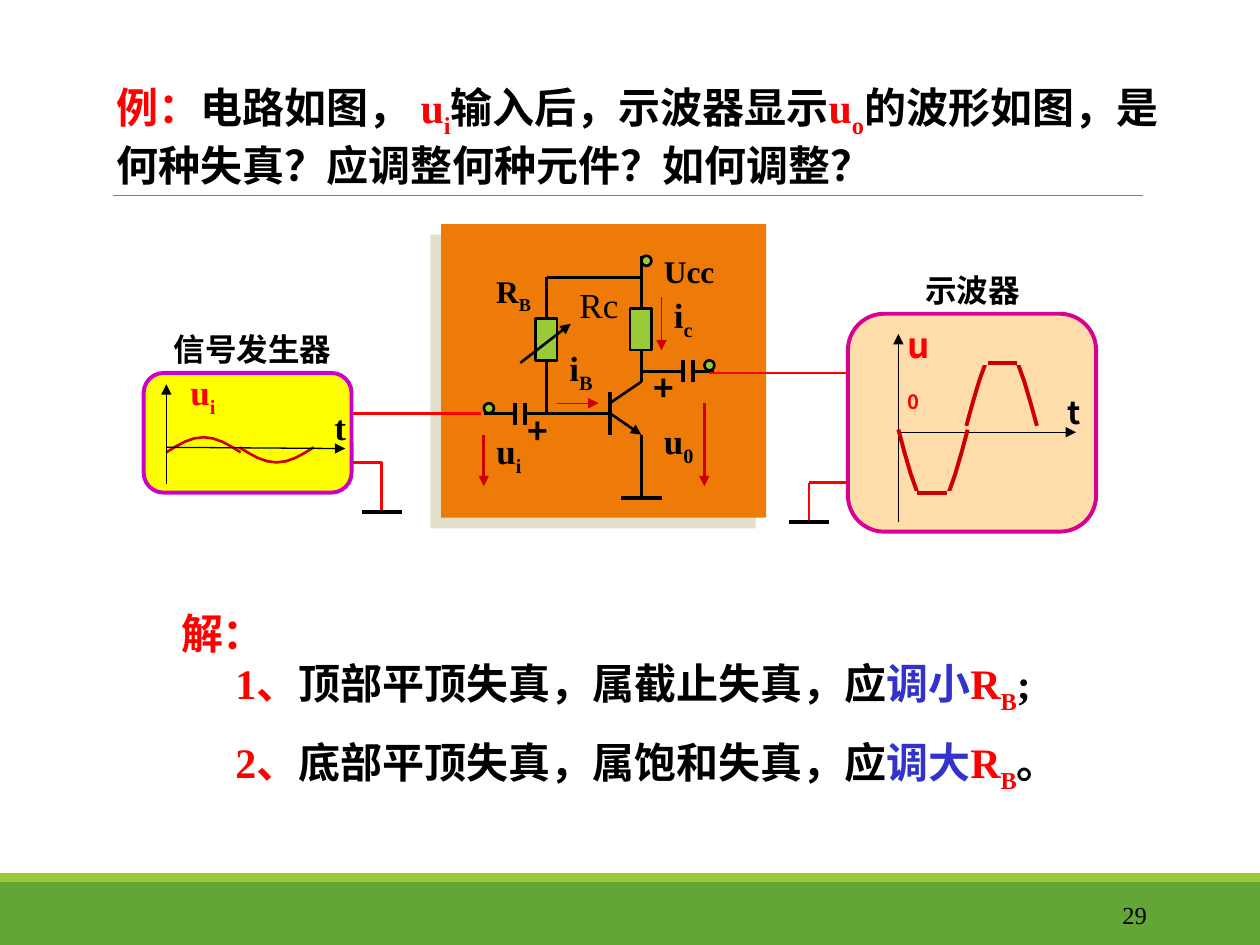
import math
import typing

import lxml.etree
import pptx
import pptx.dml.color
import pptx.enum.shapes
import pptx.enum.text
import pptx.oxml.ns
import pptx.util

Inches = pptx.util.Inches
Pt = pptx.util.Pt
qn = pptx.oxml.ns.qn
Kind = pptx.enum.shapes.MSO_SHAPE
Align = pptx.enum.text.PP_ALIGN
Anchor = pptx.enum.text.MSO_ANCHOR
Fit = pptx.enum.text.MSO_AUTO_SIZE

BLACK, RED, DARK, BLUE = "000000", "FF0000", "CC0000", "3333CC"
GREEN, PEACH = "99CB38", "FFDDAB"
SERIF, SANS = "Times New Roman", "Noto Sans CJK SC"


class Box(typing.NamedTuple):
    x: float
    y: float
    w: float
    h: float
    fill: str
    line: str = ""
    width: float = 1.5
    kind: typing.Any = Kind.RECTANGLE


class Line(typing.NamedTuple):
    x1: float
    y1: float
    x2: float
    y2: float
    hue: str = BLACK
    width: float = 1.5
    arrow: bool = False


class Wave(typing.NamedTuple):
    x: float
    y: float
    span: float
    peak: float
    steps: int
    width: float


class Label(typing.NamedTuple):
    x: float
    y: float
    w: float
    h: float
    words: list[tuple[str, str]]
    size: float = 20
    bold: bool = True
    font: str = SERIF
    align: typing.Any = Align.LEFT
    inset: bool = True
    anchor: typing.Any = Anchor.TOP


def color(code: str) -> pptx.dml.color.RGBColor:
    return pptx.dml.color.RGBColor.from_string(code)


def draw_box(shapes, box: Box):
    shape = shapes.add_shape(box.kind, *map(Inches, box[:4]))
    shape.shadow.inherit = False
    shape.fill.solid()
    shape.fill.fore_color.rgb = color(box.fill)
    if box.line:
        shape.line.color.rgb = color(box.line)
        shape.line.width = Pt(box.width)
    else:
        shape.line.fill.background()
    return shape


def draw_line(shapes, line: Line) -> None:
    straight = pptx.enum.shapes.MSO_CONNECTOR.STRAIGHT
    wire = shapes.add_connector(straight, *map(Inches, line[:4]))
    wire.line.color.rgb = color(line.hue)
    wire.line.width = Pt(line.width)
    props = wire._element.spPr
    if line.arrow:
        lxml.etree.SubElement(props.find(qn("a:ln")), qn("a:tailEnd"), type="triangle")
    lxml.etree.SubElement(props, qn("a:effectLst"))


def draw_wave(shapes, wave: Wave) -> None:
    points = [
        (
            Inches(wave.x + wave.span * k / wave.steps),
            Inches(wave.y - wave.peak * math.sin(math.pi * k / wave.steps)),
        )
        for k in range(wave.steps + 1)
    ]
    form = shapes.build_freeform(*points[0])
    form.add_line_segments(points[1:], close=False)
    curve = form.convert_to_shape()
    curve.shadow.inherit = False
    curve.fill.background()
    curve.line.color.rgb = color(DARK)
    curve.line.width = Pt(wave.width)


def draw_label(shapes, label: Label) -> None:
    frame = shapes.add_textbox(*map(Inches, label[:4])).text_frame
    frame.word_wrap = True
    frame.auto_size = Fit.SHAPE_TO_FIT_TEXT
    frame.vertical_anchor = label.anchor
    if not label.inset:
        frame.margin_left = frame.margin_right = 0
        frame.margin_top = frame.margin_bottom = 0
    para = frame.paragraphs[0]
    para.alignment = label.align
    para.font.size = Pt(label.size)
    para.font.bold = label.bold
    para.font.name = label.font
    for text, hue in label.words:
        for level, piece in enumerate(text.split("_")):
            run = para.add_run()
            run.text = piece
            run.font.color.rgb = color(hue)
            if level:
                run._r.get_or_add_rPr().set("baseline", "-25000")


def draw_all(shapes, items: list) -> None:
    tools = {Box: draw_box, Line: draw_line, Wave: draw_wave, Label: draw_label}
    for item in items:
        tools[type(item)](shapes, item)


def plate(x: float, y: float) -> Line:
    return Line(x, y, x, y + 0.17, BLACK, 2.25)


def node(x: float, y: float) -> Box:
    return Box(x, y, 0.08, 0.08, GREEN, BLACK, kind=Kind.OVAL)


def ground(x: float, y: float) -> Line:
    return Line(x - 0.16, y, x + 0.16, y, BLACK, 2.25)


def mark(x: float, y: float, w: float, text: str, **rest) -> Label:
    return Label(x, y, w, 0.43, [(text, BLACK)], **rest)


def answer(y: float, w: float, lead: str, body: str, verb: str, end: str) -> Label:
    words = [(lead, RED), (body, BLACK), (verb, BLUE), ("R_B", RED), (end, BLACK)]
    return Label(1.77, y, w, 0.5, words, 24)


def main() -> None:
    deck = pptx.Presentation()
    deck.slide_width, deck.slide_height = Inches(10), Inches(7.5)
    shapes = deck.slides.add_slide(deck.slide_layouts[6]).shapes

    draw_all(shapes, [
        Box(0, 7, 10, 0.5, "63A537"),
        Box(0, 6.93, 10, 0.07, GREEN),
        Line(0.9, 1.55, 9.07, 1.55, "808080", 0.5),
        Label(8.12, 7.06, 1.08, 0.4, [("29", BLACK)], 14, False,
              align=Align.RIGHT, anchor=Anchor.MIDDLE),
        Label(0.83, 0.6, 8.51, 0.9, [
            ("例：", RED), ("电路如图， ", BLACK), ("u_i", RED),
            ("输入后，示波器显示", BLACK), ("u_o", RED),
            ("的波形如图，是何种失真？应调整何种元件？如何调整？", BLACK)], 24),
        Label(1.14, 4.77, 1.26, 0.5, [("解：", RED)], 24, align=Align.CENTER),
        answer(5.17, 6.77, "1、", "顶部平顶失真，属截止失真，应", "调小", ";"),
        answer(5.8, 7.48, "2、", "底部平顶失真，属饱和失真，应", "调大", "。"),
    ])

    board = draw_box(shapes, Box(3.5, 1.78, 2.58, 2.33, "EE7B08"))
    shade = lxml.etree.SubElement(
        board._element.spPr.find(qn("a:effectLst")), qn("a:outerShdw"),
        dist=str(Pt(8.5)), dir="8100000", algn="ctr", rotWithShape="0")
    lxml.etree.SubElement(shade, qn("a:srgbClr"), val="E2DFCC")

    draw_all(shapes, [
        Line(4.42, 3.2, 4.75, 3.2, DARK, 0.75, True),
        plate(5.42, 2.86), plate(5.5, 2.86), plate(4.09, 3.2), plate(4.17, 3.2),
        Line(3.84, 3.28, 4.09, 3.28),
        Line(4.17, 3.28, 4.84, 3.28),
        Line(4.84, 3.11, 4.84, 3.45, BLACK, 2.25),
        Line(4.84, 3.2, 5.09, 3.03),
        Line(4.84, 3.28, 5.09, 3.45, arrow=True),
        Line(5.09, 3.03, 5.09, 2.03),
        Line(5.09, 3.45, 5.09, 3.95),
        ground(5.09, 3.95),
        Line(4.34, 2.2, 5.09, 2.2),
        Line(4.34, 2.2, 4.34, 3.28),
        Box(5, 2.45, 0.17, 0.33, GREEN, BLACK),
        Box(4.25, 2.53, 0.17, 0.33, GREEN, BLACK),
        Line(4.13, 2.88, 4.53, 2.57, arrow=True),
        node(3.84, 3.2), node(5.09, 2.03),
        Line(5.09, 2.95, 5.42, 2.95),
        Line(5.5, 2.95, 5.67, 2.95),
        node(5.59, 2.86),
        Line(5.25, 2.36, 5.25, 2.78, DARK, 0.75, True),
        Line(5.59, 3.2, 5.59, 3.86, DARK, arrow=True),
        Line(3.84, 3.45, 3.84, 3.86, DARK, arrow=True),
        mark(4.42, 2.7, 0.5, "i_B"), mark(3.84, 3.36, 0.58, "u_i"),
        mark(5.25, 2.28, 0.5, "i_c"), mark(5.17, 3.28, 0.58, "u_0"),
        mark(5.17, 1.95, 0.75, "Ucc", size=18), mark(3.84, 2.11, 0.67, "R_B", size=18),
        mark(4.5, 2.2, 0.58, "Rc", bold=False),
        mark(5.09, 2.86, 0.42, "+", font=SANS), mark(4.09, 3.2, 0.42, "+", font=SANS),
    ])

    draw_all(shapes, [
        Box(6.73, 2.49, 1.97, 1.73, PEACH, "D60093", 2.25, Kind.ROUNDED_RECTANGLE),
        Label(8.47, 3.12, 0.12, 0.3, [("t", BLACK)], 18, font=SANS, inset=False),
        Label(7.2, 2.57, 0.23, 0.33, [("u_0", RED)], font=SANS, inset=False),
        Line(7.13, 3.43, 8.54, 3.43, BLACK, 0.75, True),
        Line(7.13, 4.14, 7.13, 2.65, BLACK, 0.75, True),
        Line(5.63, 2.96, 6.73, 2.96, RED),
        Line(6.73, 3.83, 6.42, 3.83, RED),
        Line(6.42, 3.83, 6.42, 4.14, RED),
        ground(6.42, 4.14),
        mark(7.13, 2.1, 1.18, "示波器", size=18, align=Align.CENTER),
        Wave(7.67, 3.38, 0.56, 0.66, 11, 2.25),
        Wave(7.13, 3.41, 0.55, -0.66, 11, 2.25),
        Box(7.76, 2.65, 0.39, 0.24, PEACH, PEACH),
        Line(7.84, 2.88, 8.07, 2.88, DARK, 2.25),
        Box(7.2, 3.91, 0.39, 0.24, PEACH, PEACH),
        Line(7.28, 3.91, 7.52, 3.91, DARK, 2.25),
    ])

    draw_all(shapes, [
        Box(1.14, 2.96, 1.65, 0.95, "FFFF00", "CC00CC", 2.25, Kind.ROUNDED_RECTANGLE),
        Wave(1.9, 3.55, 0.59, -0.12, 8, 1.5),
        Wave(1.32, 3.59, 0.59, 0.12, 8, 1.5),
        Line(1.32, 3.55, 2.74, 3.56, BLACK, 0.75, True),
        Line(1.32, 3.84, 1.32, 3.05, BLACK, 0.75, True),
        mark(2.49, 3.17, 0.42, "t", align=Align.CENTER),
        Label(1.32, 2.89, 0.58, 0.43, [("u_i", RED)], align=Align.CENTER),
        Line(2.8, 3.67, 3.03, 3.67, RED),
        Line(3.03, 3.67, 3.03, 4.06, RED),
        ground(3.03, 4.06),
        Line(2.8, 3.28, 3.82, 3.28, RED),
        mark(1.14, 2.57, 1.73, "信号发生器", size=18, align=Align.CENTER),
    ])
    deck.save("out.pptx")


if __name__ == "__main__":
    main()
